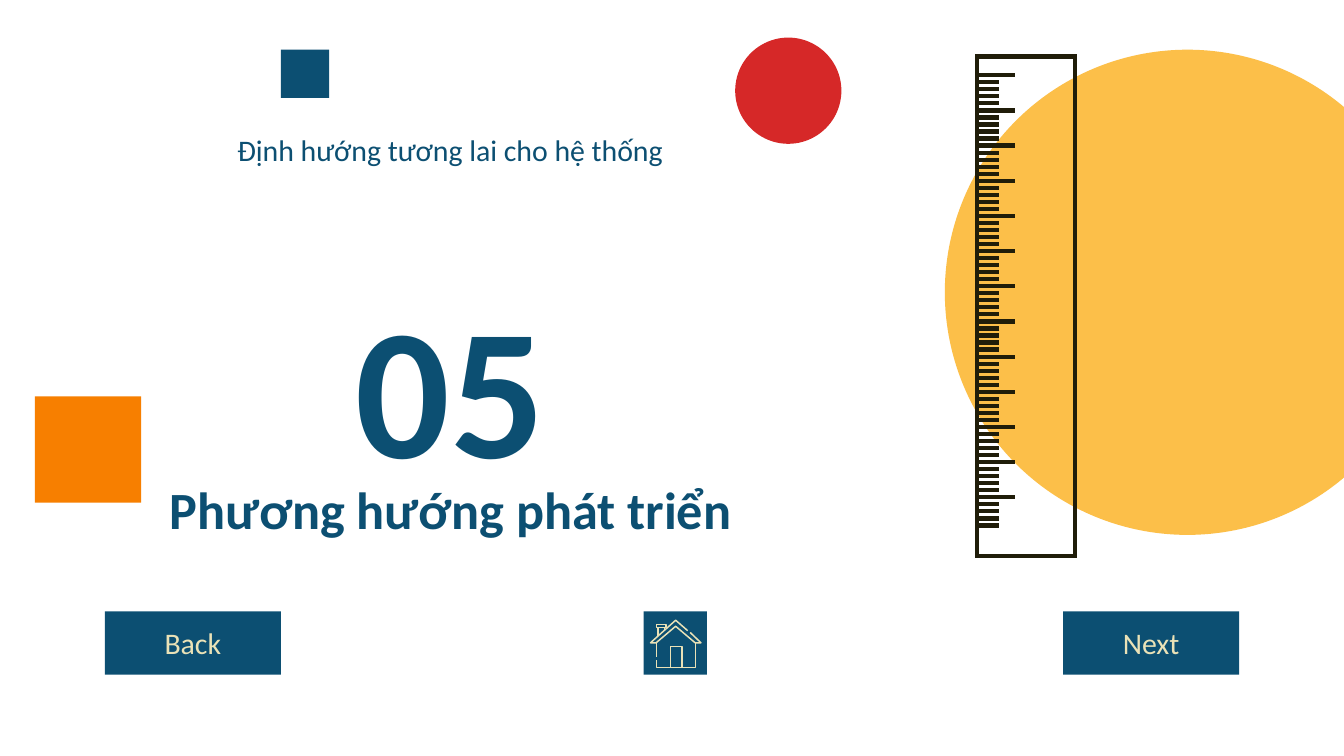
import pptx
import pptx.util
import pptx.dml.color
import pptx.enum.shapes
import pptx.enum.text
import pptx.oxml.ns
from lxml import etree

Inches, Pt = pptx.util.Inches, pptx.util.Pt
RGBColor = pptx.dml.color.RGBColor
MSO_SHAPE = pptx.enum.shapes.MSO_SHAPE
MSO_CONNECTOR = pptx.enum.shapes.MSO_CONNECTOR
MSO_ANCHOR = pptx.enum.text.MSO_ANCHOR

NAVY = RGBColor(0x0C, 0x4F, 0x72)
CREAM = RGBColor(0xEA, 0xE2, 0xB7)
YELLOW = RGBColor(0xFC, 0xBF, 0x49)
ORANGE = RGBColor(0xF7, 0x7F, 0x00)
RED = RGBColor(0xD6, 0x28, 0x28)
INK = RGBColor(0x20, 0x1D, 0x09)


def add_filled(kind, x, y, w, h, color):
    sp = s.shapes.add_shape(kind, Inches(x), Inches(y), Inches(w), Inches(h))
    sp.shadow.inherit = False
    sp.fill.solid()
    sp.fill.fore_color.rgb = color
    sp.line.fill.background()
    return sp


def set_text(sp, text, size, color, bold=False, anchor=MSO_ANCHOR.MIDDLE):
    tf = sp.text_frame
    tf.word_wrap = True
    tf.vertical_anchor = anchor
    tf.margin_left = tf.margin_right = tf.margin_top = tf.margin_bottom = Inches(0.1)
    p = tf.paragraphs[0]
    p.text = text
    p.alignment = pptx.enum.text.PP_ALIGN.CENTER
    p.font.name = "Calibri"
    p.font.size = Pt(size)
    p.font.bold = bold
    p.font.color.rgb = color


prs = pptx.Presentation()
prs.slide_width = Inches(10)
prs.slide_height = Inches(10 * 9 / 16)
s = prs.slides.add_slide(prs.slide_layouts[6])

# Headings
for text, x, y, w, h, size, bold, anchor in [
    ("Phương hướng phát triển", 0.94, 3.37, 4.82, 0.83, 28, True, MSO_ANCHOR.MIDDLE),
    ("05", 1.23, 2.25, 4.24, 1.21, 100, True, MSO_ANCHOR.MIDDLE),
    ("Định hướng tương lai cho hệ thống", 1.23, 0.88, 4.24, 0.4, 16, False, MSO_ANCHOR.TOP),
]:
    sp = s.shapes.add_textbox(Inches(x), Inches(y), Inches(w), Inches(h))
    set_text(sp, text, size, NAVY, bold, anchor)

add_filled(MSO_SHAPE.OVAL, 7.03, 0.37, 3.61, 3.61, YELLOW)

# Ruler: every fifth tick is long
ruler = s.shapes.add_group_shape()
body = ruler.shapes.add_shape(
    MSO_SHAPE.RECTANGLE, Inches(7.27), Inches(0.42), Inches(0.73), Inches(3.72))
body.shadow.inherit = False
body.fill.background()
body.line.color.rgb = INK
body.line.width = Pt(2.25)
etree.SubElement(body.line._get_or_add_ln(), pptx.oxml.ns.qn("a:miter"), lim="800000")

TICKS = 65
FIRST_TICK, LAST_TICK = 0.56, 3.91
for i in range(TICKS):
    y = Inches(FIRST_TICK + i * (LAST_TICK - FIRST_TICK) / (TICKS - 1))
    length = 0.27 if i % 5 == 0 else 0.15
    tick = ruler.shapes.add_connector(
        MSO_CONNECTOR.STRAIGHT, Inches(7.28), y, Inches(7.28 + length), y)
    tick.line.color.rgb = INK
    tick.line.width = Pt(2.25)
    etree.SubElement(tick._element.spPr, pptx.oxml.ns.qn("a:effectLst"))

# Decorations
add_filled(MSO_SHAPE.RECTANGLE, 0.26, 2.95, 0.79, 0.79, ORANGE)
add_filled(MSO_SHAPE.OVAL, 5.47, 0.28, 0.79, 0.79, RED)
add_filled(MSO_SHAPE.RECTANGLE, 2.09, 0.37, 0.36, 0.36, NAVY)

# Navigation buttons
for label, x in [("Back", 0.78), ("Next", 7.91)]:
    button = add_filled(MSO_SHAPE.RECTANGLE, x, 4.55, 1.31, 0.47, NAVY)
    set_text(button, label, 16, CREAM)
add_filled(MSO_SHAPE.RECTANGLE, 4.79, 4.55, 0.47, 0.47, NAVY)

# House icon, in thousandths of an inch
house_strokes = [
    # roof
    [(5117, 4693), (5027, 4615), (4840, 4783), (4882, 4783), (5027, 4660),
     (5172, 4783), (5215, 4783), (5135, 4706)],
    # walls
    [(4885, 4785), (4885, 4890)],
    [(4885, 4912), (4885, 4965), (5174, 4965), (5174, 4785)],
    # door
    [(4988, 4965), (4988, 4810), (5073, 4810), (5073, 4965)],
    # chimney
    [(4884, 4645), (4955, 4645), (4955, 4669), (4884, 4669), (4884, 4645)],
    [(4896, 4669), (4896, 4732)],
    [(4945, 4669), (4945, 4685)],
]
fb = s.shapes.build_freeform(*house_strokes[0][0], scale=Inches(1) / 1000)
for stroke in house_strokes:
    fb.move_to(*stroke[0])
    fb.add_line_segments(stroke[1:], close=False)
house = fb.convert_to_shape()
house.shadow.inherit = False
house.fill.background()
house.line.color.rgb = CREAM
house.line.width = Pt(0.8)

prs.save("out.pptx")
